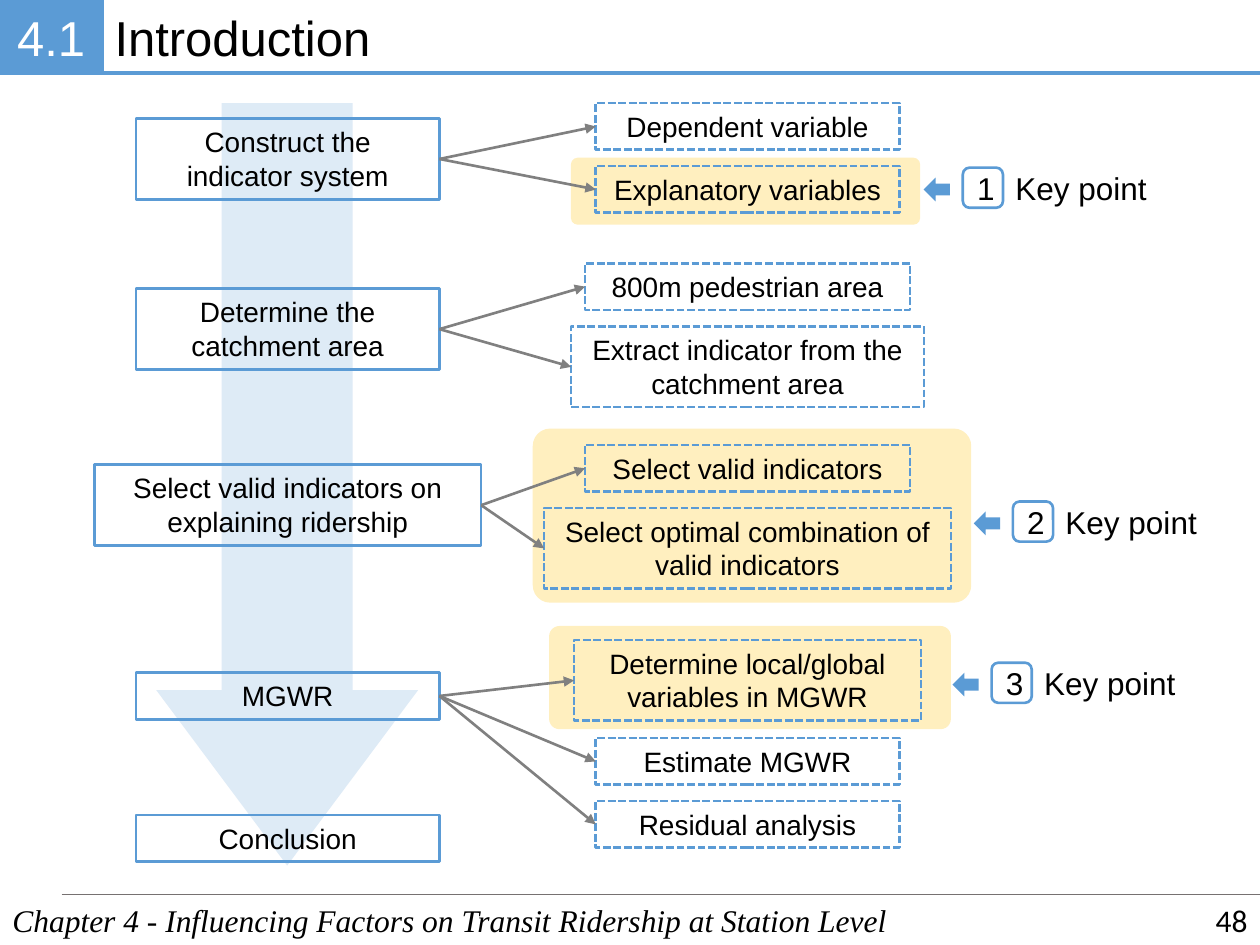
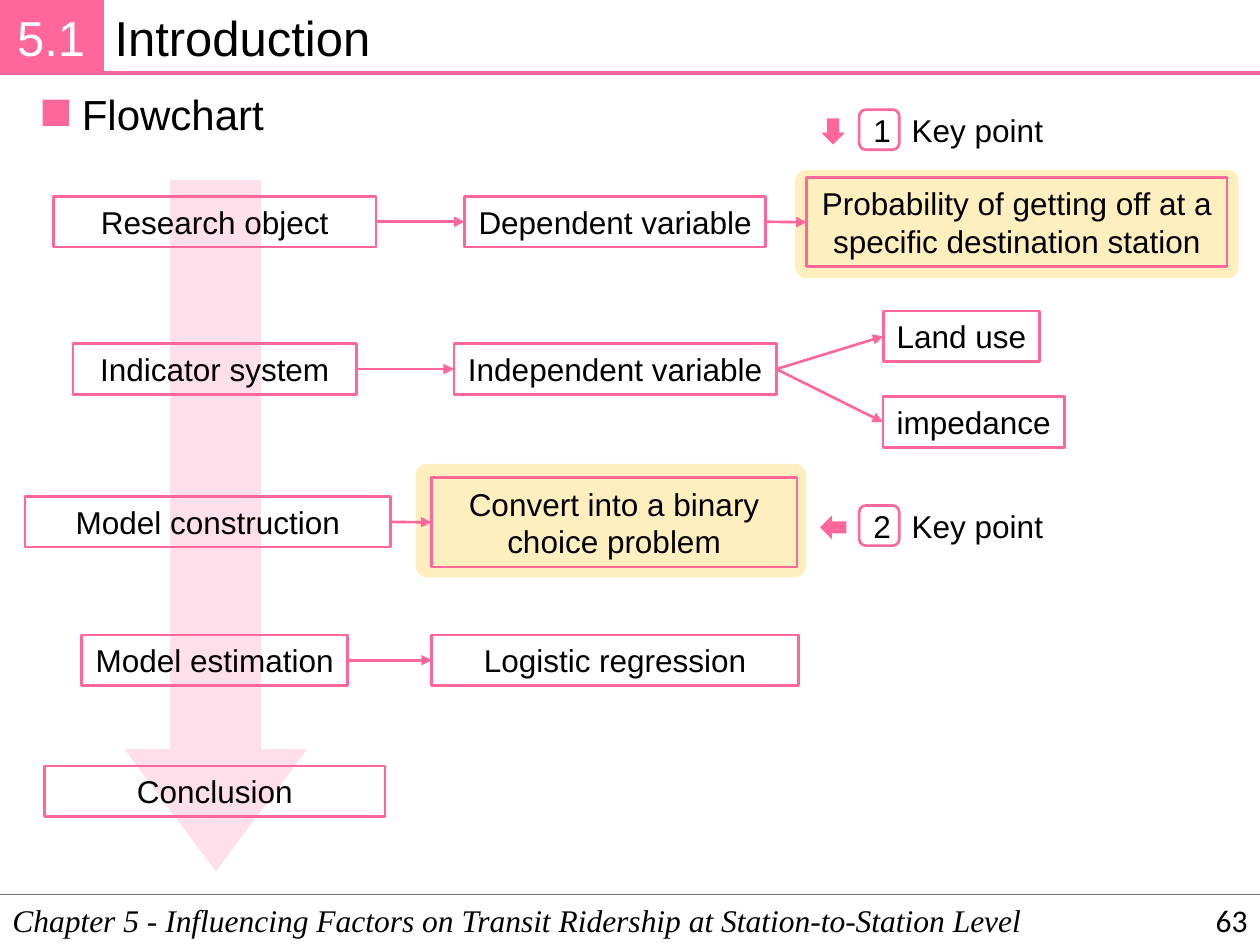
from lxml import etree
from pptx import Presentation
from pptx import util as u
from pptx.dml import color
from pptx.enum import dml, shapes, text
from pptx.oxml import ns

KINDS = shapes.MSO_SHAPE
MIDDLE = text.MSO_ANCHOR.MIDDLE
TOP = text.MSO_ANCHOR.TOP
CENTER = text.PP_ALIGN.CENTER
LEFT = text.PP_ALIGN.LEFT
RIGHT = text.PP_ALIGN.RIGHT
BLACK, WHITE, GREY, AMBER = "000000", "FFFFFF", "767171", "FFC000"


def paint(target, hex_color, alpha=None):
    if hasattr(target, "solid"):
        target.solid()
        target = target.fore_color
    target.rgb = color.RGBColor.from_string(hex_color)
    if alpha:
        node = target._xFill.find(ns.qn("a:srgbClr"))
        etree.SubElement(node, ns.qn("a:alpha"), val=str(alpha * 1000))


def add_item(slide, kind, place, content="", size=18, ink=BLACK, fill=None, alpha=None,
             line=None, width=1.5, align=CENTER, font=None, frame=None):
    place = [u.Cm(value) for value in place]
    if kind is None:
        shape = slide.shapes.add_textbox(*place)
    else:
        shape = slide.shapes.add_shape(kind, *place)
        shape.shadow.inherit = False
        if fill:
            paint(shape.fill, fill, alpha)
        else:
            shape.fill.background()
        if line:
            paint(shape.line.fill, line)
            shape.line.width = u.Pt(width)
        else:
            shape.line.fill.background()
    if content:
        text_frame = shape.text_frame
        for name, value in {"word_wrap": True, "vertical_anchor": TOP, **(frame or {})}.items():
            setattr(text_frame, name, value)
        paragraph = text_frame.paragraphs[0]
        paragraph.alignment = align
        run = paragraph.add_run()
        run.text = content
        for name, value in {"name": "Arial", "size": u.Pt(size), **(font or {})}.items():
            setattr(run.font, name, value)
        paint(run.font.fill, ink)
    return shape


pages = [
    {
        "section": "4.1",
        "chapter": "Chapter 4 - Influencing Factors on Transit Ridership at Station Level",
        "number": "48",
        "accent": "5B9BD5",
        "arrow_color": "808080",
        "footer_start": 1.24,
        "heading": None,
        "size": 16,
        "heights": {1: 0.94, 2: 1.63},
        "anchor": TOP,
        "dashed_details": True,
        "flow_arrow": (3.15, 2.08, 5.28, 15.37),
        "highlights": [(11.51, 3.18, 7.04, 1.35), (10.74, 8.64, 8.84, 3.51),
                       (11.07, 12.62, 8.1, 2.08)],
        "boxes": [
            ("Construct the indicator system", 5.8, 2.39, 6.12, 2, None),
            ("Determine the catchment area", 5.8, 5.82, 6.12, 2, None),
            ("Select valid indicators on explaining ridership", 5.8, 9.37, 7.8, 2, None),
            ("MGWR", 5.8, 13.56, 6.12, 1, None),
            ("Conclusion", 5.8, 16.43, 6.12, 1, None),
            ("Dependent variable", 15.07, 2.08, 6.12, 1, "Construct the indicator system"),
            ("Explanatory variables", 15.07, 3.35, 6.12, 1, "Construct the indicator system"),
            ("800m pedestrian area", 15.07, 5.31, 6.55, 1, "Determine the catchment area"),
            ("Extract indicator from the catchment area", 15.07, 6.58, 7.11, 2,
             "Determine the catchment area"),
            ("Select valid indicators", 15.07, 8.97, 6.55, 1,
             "Select valid indicators on explaining ridership"),
            ("Select optimal combination of valid indicators", 15.07, 10.24, 8.2, 2,
             "Select valid indicators on explaining ridership"),
            ("Determine local/global variables in MGWR", 15.07, 12.9, 6.99, 2, "MGWR"),
            ("Estimate MGWR", 15.07, 14.88, 6.12, 1, "MGWR"),
            ("Residual analysis", 15.07, 16.15, 6.12, 1, "MGWR"),
        ],
        "key_points": [(19.41, 3.38, 180), (20.42, 10.11, 180), (19.99, 13.36, 180)],
    },
    {
        "section": "5.1",
        "chapter": "Chapter 5 - Influencing Factors on Transit Ridership at Station-to-Station Level",
        "number": "63",
        "accent": "FF6699",
        "arrow_color": "FF6699",
        "footer_start": 0,
        "heading": "Flowchart",
        "size": 18,
        "heights": {1: 1.02, 2: 1.8},
        "anchor": MIDDLE,
        "dashed_details": False,
        "flow_arrow": (2.51, 3.63, 3.68, 13.94),
        "highlights": [(16.03, 3.43, 8.94, 2.18), (8.38, 9.35, 7.87, 2.29)],
        "boxes": [
            ("Research object", 4.33, 3.96, 6.5, 1, None),
            ("Indicator system", 4.33, 6.93, 5.72, 1, None),
            ("Model construction", 4.19, 10.01, 7.37, 1, None),
            ("Model estimation", 4.33, 12.8, 5.36, 1, None),
            ("Conclusion", 4.33, 15.44, 6.86, 1, None),
            ("Dependent variable", 12.4, 3.96, 6.07, 1, "Research object"),
            ("Independent variable", 12.4, 6.93, 6.5, 1, "Indicator system"),
            ("Convert into a binary choice problem", 12.38, 9.63, 7.37, 2, "Model construction"),
            ("Logistic regression", 12.4, 12.8, 7.39, 1, "Model estimation"),
            ("Probability of getting off at a specific destination station",
             20.5, 3.58, 8.48, 2, "Dependent variable"),
            ("Land use", 19.38, 6.27, 3.15, 1, "Independent variable"),
            ("impedance", 19.63, 8, 3.66, 1, "Independent variable"),
        ],
        "key_points": [(17.32, 2.21, 90), (17.32, 10.19, 180)],
    },
]

tab_frame = {"vertical_anchor": MIDDLE}
for side in ("left", "top", "right", "bottom"):
    tab_frame["margin_" + side] = u.Cm(0.15)
label_frame = {"word_wrap": False, "auto_size": text.MSO_AUTO_SIZE.SHAPE_TO_FIT_TEXT}

presentation = Presentation()
presentation.slide_width = u.Cm(25.4)
presentation.slide_height = u.Cm(19.05)

for page in pages:
    slide = presentation.slides.add_slide(presentation.slide_layouts[6])
    accent = page["accent"]

    flow_arrow = add_item(slide, KINDS.DOWN_ARROW, page["flow_arrow"], fill=accent, alpha=20)
    flow_arrow.adjustments[1] = 0.67
    for place in page["highlights"]:
        highlight = add_item(slide, KINDS.ROUNDED_RECTANGLE, place, fill=AMBER, alpha=25)
        highlight.adjustments[0] = 0.1

    add_item(slide, None, (2.06, 0.03, 23.34, 1.45), "Introduction", 28, align=LEFT)
    add_item(slide, KINDS.RECTANGLE, (0, 0, 2.06, 1.47), page["section"], 28, WHITE,
             fill=accent, line=accent, width=2.25, frame=tab_frame)
    add_item(slide, None, (0, 18.03, 25.4, 1.02), page["chapter"], align=LEFT,
             font={"name": "Times New Roman", "italic": True})
    add_item(slide, None, (19.69, 18.03, 5.71, 1.02), page["number"], align=RIGHT,
             font={"name": "Calibri"}, frame={"vertical_anchor": MIDDLE})
    if page["heading"]:
        add_item(slide, KINDS.RECTANGLE, (0.86, 2.01, 0.53, 0.53), fill=accent)
        add_item(slide, None, (1.4, 1.65, 4.22, 1.27), page["heading"], 24, align=LEFT,
                 frame=label_frame)

    lines = [
        (2.06, 1.47, accent, 2.25, None),
        (page["footer_start"], 18.03, GREY, 1, None),
    ]
    boxes = {}
    for content, center, top, width, rows, parent in page["boxes"]:
        place = (center - width / 2, top, width, page["heights"][rows])
        box = add_item(slide, KINDS.RECTANGLE, place, content, page["size"], line=accent,
                       frame={"vertical_anchor": page["anchor"]})
        boxes[content] = box
        if parent:
            lines.append((0, 0, page["arrow_color"], 1.5, (boxes[parent], box)))
            if page["dashed_details"]:
                box.line.dash_style = dml.MSO_LINE.SQUARE_DOT

    for start, top, line_color, weight, ends in lines:
        connector = slide.shapes.add_connector(
            shapes.MSO_CONNECTOR.STRAIGHT, u.Cm(start), u.Cm(top), u.Cm(25.4), u.Cm(top))
        paint(connector.line.fill, line_color)
        connector.line.width = u.Pt(weight)
        etree.SubElement(connector._element.spPr, ns.qn("a:effectLst"))
        if ends:
            connector.begin_connect(ends[0], 3)
            connector.end_connect(ends[1], 1)
            etree.SubElement(connector.line._get_or_add_ln(), ns.qn("a:tailEnd"), type="triangle")

    for number, (left, top, rotation) in enumerate(page["key_points"], 1):
        add_item(slide, None, (left + 0.81, top - 0.09, 3.18, 1.02), "Key point", align=LEFT,
                 frame=label_frame)
        add_item(slide, KINDS.ROUNDED_RECTANGLE, (left, top, 0.81, 0.81), str(number),
                 line=accent, frame={"vertical_anchor": MIDDLE})
        pointer = add_item(slide, KINDS.RIGHT_ARROW, (left - 0.79, top + 0.2, 0.53, 0.48),
                           fill=accent)
        pointer.rotation = rotation

presentation.save("out.pptx")
